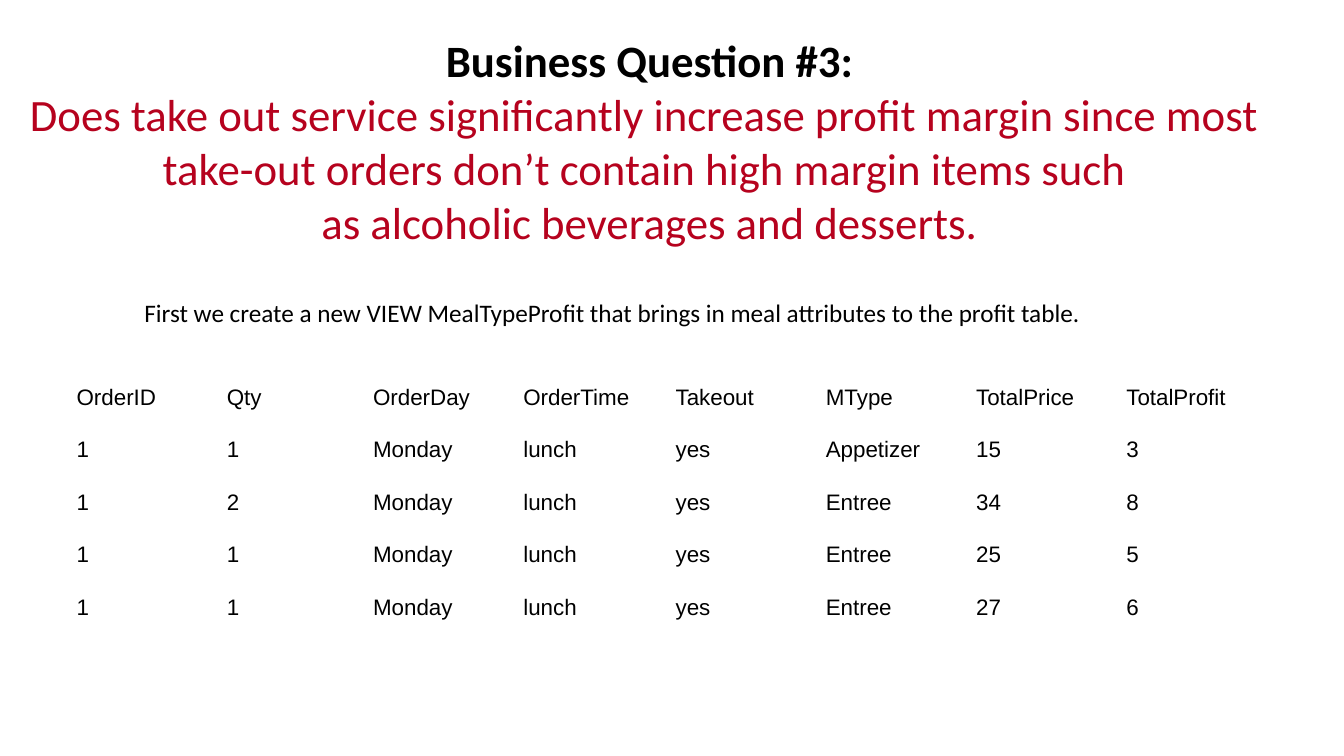
"""Build the slide on take-out profit with its MealTypeProfit table."""
from pptx import Presentation
from pptx.dml.color import RGBColor
from pptx.enum.text import MSO_AUTO_SIZE as AutoSize, PP_ALIGN as Align
from pptx.util import Inches, Pt

BLACK, CRIMSON = "000000", "B6021E"

deck = Presentation()
deck.slide_width, deck.slide_height = Inches(13.33), Inches(7.5)
page = deck.slides.add_slide(deck.slide_layouts[6])
across, down = deck.slide_width / 100, deck.slide_height / 100


def style(para, face, size, color, bold=False):
    """Format every run of a paragraph."""
    for span in para.runs:
        span.font.name, span.font.size, span.font.bold = face, Pt(size), bold
        span.font.color.rgb = RGBColor.from_string(color)


def add_text(left, top, width, height, lines, size, align):
    """Add an unwrapped box, placed in percent of the slide, from (text, color, bold) lines."""
    box = page.shapes.add_textbox(int(left * across), int(top * down),
                                  int(width * across), int(height * down))
    frame = box.text_frame
    frame.word_wrap = False
    frame.auto_size = AutoSize.SHAPE_TO_FIT_TEXT
    frame.text = "\n".join(text for text, _, _ in lines)
    for para, (_, color, bold) in zip(frame.paragraphs, lines):
        para.alignment = align
        style(para, "Calibri", size, color, bold)


question = [
    ("Business Question #3:", BLACK, True),
    ("Does take out service significantly increase profit margin since most ", CRIMSON, False),
    ("take-out orders don’t contain high margin items such ", CRIMSON, False),
    ("as alcoholic beverages and desserts.", CRIMSON, False),
]
add_text(1, 3.73, 94.67, 30.13, question, 32, Align.CENTER)

step = "First we create a new VIEW MealTypeProfit that brings in meal attributes to the profit table."
add_text(10, 38.67, 71.5, 5.33, [(step, BLACK, False)], 18, Align.LEFT)

headings = ["OrderID", "Qty", "OrderDay", "OrderTime", "Takeout", "MType", "TotalPrice", "TotalProfit"]
meals = [(1, "Appetizer", 15, 3), (2, "Entree", 34, 8), (1, "Entree", 25, 5), (1, "Entree", 27, 6)]
records = [headings] + [
    [1, quantity, "Monday", "lunch", "yes", meal, price, profit]
    for quantity, meal, price, profit in meals
]
column_shares = [11.18, 10.88, 11.18, 11.33] + [11.18] * 4
row_share = 6.96

orders = page.shapes.add_table(
    len(records), len(headings), int(5.18 * across), int(50 * down),
    int(sum(column_shares) * across), int(len(records) * row_share * down)).table
orders.first_row = orders.horz_banding = False
for column, share in zip(orders.columns, column_shares):
    column.width = int(share * across)
for row, record in zip(orders.rows, records):
    row.height = int(row_share * down)
    for cell, value in zip(row.cells, record):
        cell.fill.background()
        cell.margin_left = cell.margin_right = cell.margin_top = cell.margin_bottom = Inches(0.07)
        cell.text_frame.text = str(value)
        style(cell.text_frame.paragraphs[0], "Arial", 16, BLACK)

deck.save("out.pptx")
